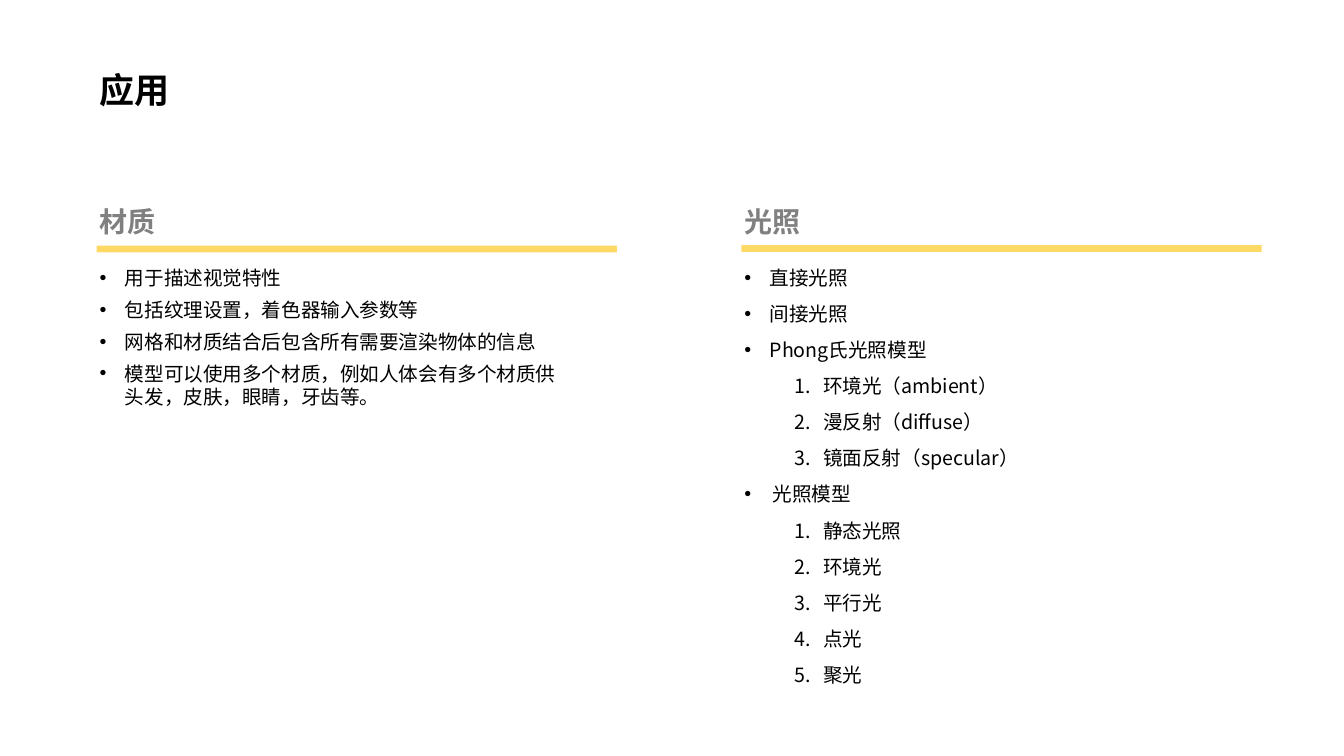
"""Build the slide on materials and lighting."""
from lxml.etree import SubElement
from pptx import Presentation
from pptx.dml.color import RGBColor
from pptx.enum.shapes import MSO_SHAPE
from pptx.enum.text import MSO_ANCHOR, MSO_AUTO_SIZE, PP_ALIGN
from pptx.oxml.ns import qn
from pptx.util import Pt

PX = 9525
BLACK = RGBColor(0x00, 0x00, 0x00)
GRAY = RGBColor(0x80, 0x80, 0x80)
YELLOW = RGBColor(0xFF, 0xD9, 0x66)
SC, JP = "Noto Sans CJK SC", "Noto Sans CJK JP"
MATERIAL = [
    ("用于描述视觉特性", 0, 48, SC),
    ("包括纹理设置，着色器输入参数等", 0, 48, SC),
    ("网格和材质结合后包含所有需要渲染物体的信息", 0, 48, SC),
    ("模型可以使用多个材质，例如人体会有多个材质供头发，皮肤，眼睛，牙齿等。", 0, 48, SC),
]
LIGHTING = [
    ("直接光照", 0, 48, SC),
    ("间接光照", 0, 48, SC),
    ("Phong氏光照模型", 0, 48, SC),
    ("环境光（ambient）", 1, 54, SC),
    ("漫反射（diffuse）", 1, 54, SC),
    ("镜面反射（specular）", 1, 54, SC),
    ("光照模型", 0, 54, JP),
    ("静态光照", 1, 54, JP),
    ("环境光", 1, 54, JP),
    ("平行光", 1, 54, JP),
    ("点光", 1, 54, JP),
    ("聚光", 1, 54, JP),
]


def place(sp, x, y, w, h, anchor):
    sp.left, sp.top, sp.width, sp.height = (v * PX for v in (x, y, w, h))
    tf = sp.text_frame
    tf.margin_left = tf.margin_right = tf.margin_top = tf.margin_bottom = 6 * PX
    tf.vertical_anchor = anchor
    tf.word_wrap = True
    tf.auto_size = MSO_AUTO_SIZE.NONE
    return tf


def add_run(p, text, size, color, bold=False, font=SC):
    p.alignment = PP_ALIGN.LEFT
    r = p.add_run()
    r.text = text
    r.font.size = Pt(size)
    r.font.bold = bold
    r.font.color.rgb = color
    r.font.name = font
    SubElement(r.font._element, qn("a:ea"), typeface=font)


prs = Presentation()
prs.slide_width, prs.slide_height = 2560 * PX, 1440 * PX
s = prs.slides.add_slide(prs.slide_layouts[4])
title, *bodies = s.placeholders

tf = place(title, 184, 125, 152, 91, MSO_ANCHOR.MIDDLE)
add_run(tf.paragraphs[0], "应用", 50, BLACK, True)

columns = [
    (184, 468, "材质", 408, 6, MATERIAL),
    (1412, 467, "光照", 890, 12, LIGHTING),
]
for i, (x, bar_y, heading, height, after, items) in enumerate(columns):
    head, body = bodies[2 * i:2 * i + 2]
    tf = place(head, x, 384, 125, 76, MSO_ANCHOR.MIDDLE)
    p = tf.paragraphs[0]
    p.space_before = Pt(0)
    add_run(p, heading, 40, GRAY, True)

    sp = s.shapes.add_shape(MSO_SHAPE.RECTANGLE, x * PX, bar_y * PX, 991 * PX, 13 * PX)
    sp.shadow.inherit = False
    sp.fill.solid()
    sp.fill.fore_color.rgb = YELLOW
    sp.line.fill.background()

    tf = place(body, x, 500, 894, height, MSO_ANCHOR.TOP)
    for n, (text, level, hang, font) in enumerate(items):
        p = tf.add_paragraph() if n else tf.paragraphs[0]
        p.level = level
        p.line_spacing = Pt(33.6)
        p.space_before, p.space_after = Pt(6), Pt(after)
        add_run(p, text, 28, BLACK, font=font)
        pPr = p._p.get_or_add_pPr()
        pPr.set("marL", str((96 * level + hang) * PX))
        pPr.set("indent", str(-hang * PX))
        if level:
            SubElement(pPr, qn("a:buFont"), typeface=font)
            SubElement(pPr, qn("a:buAutoNum"), type="arabicPeriod")
        else:
            SubElement(pPr, qn("a:buFont"), typeface="Arial")
            SubElement(pPr, qn("a:buChar"), char="•")

prs.save("out.pptx")
